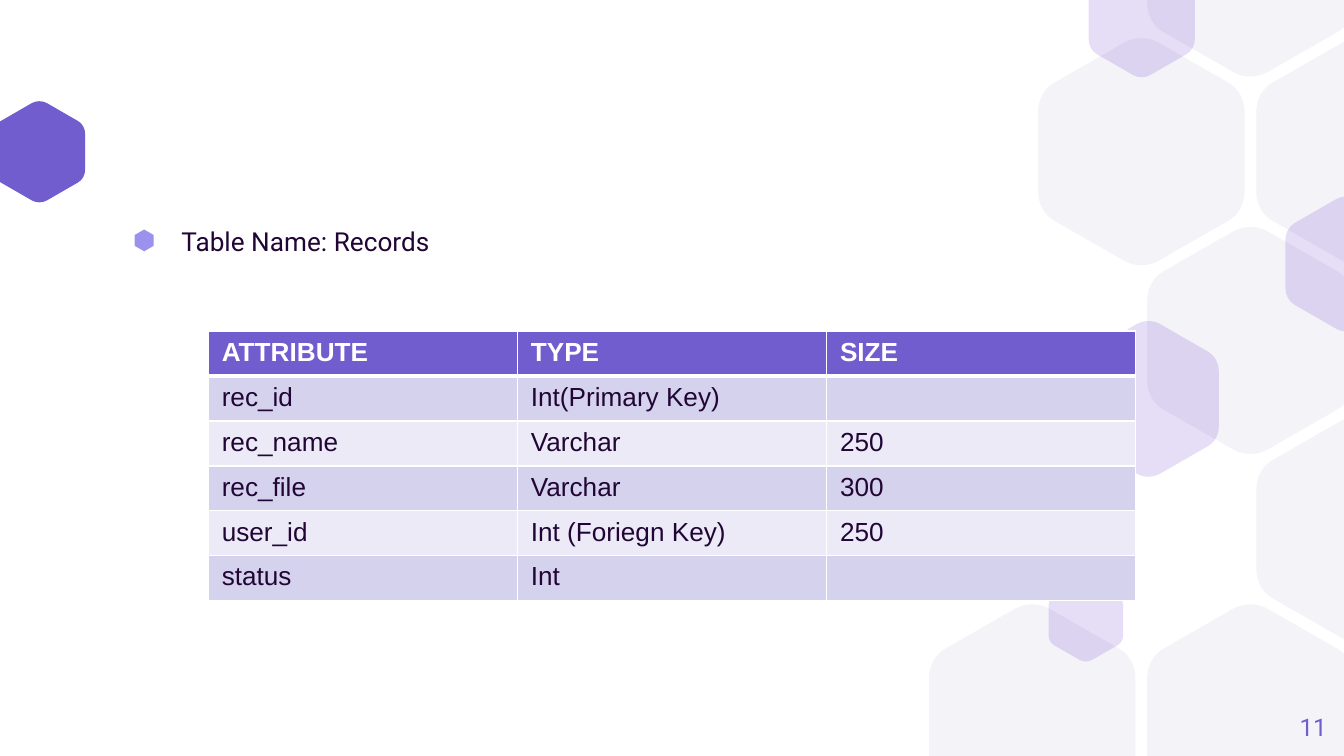
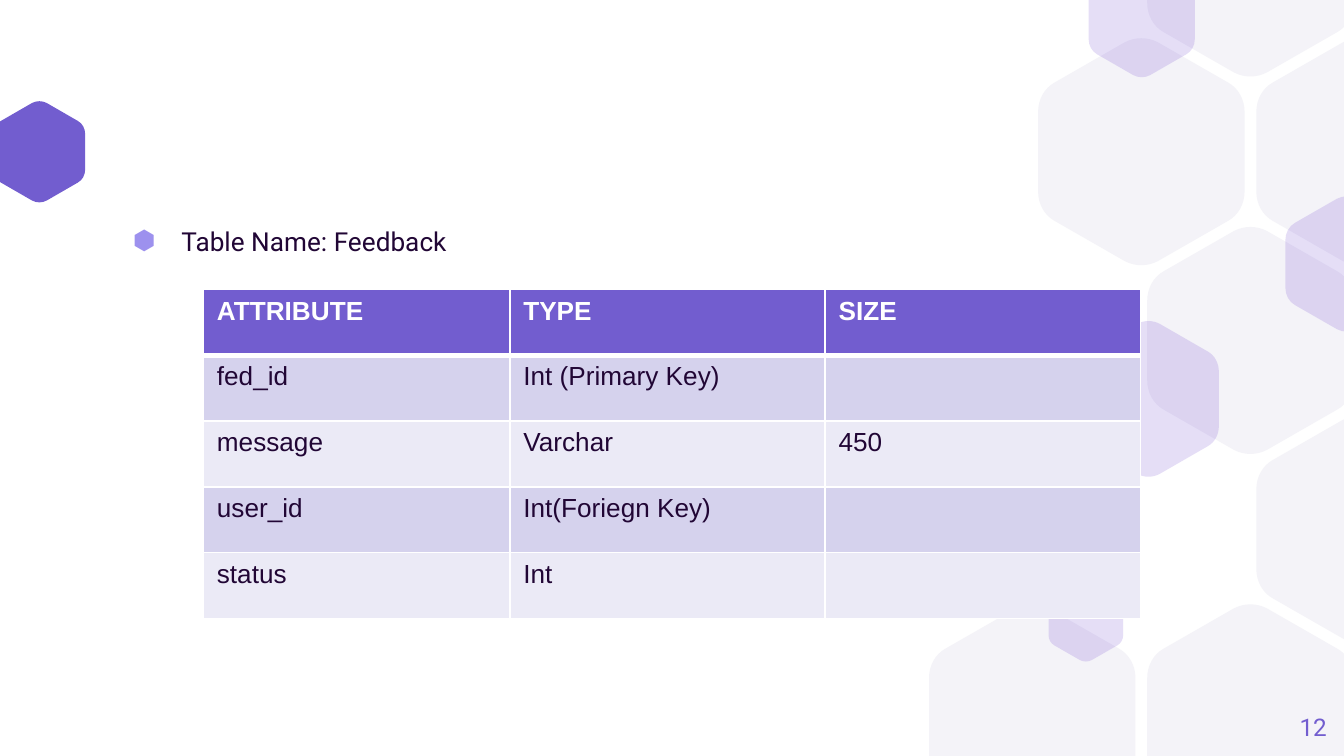
from lxml.etree import SubElement
from pptx import Presentation
from pptx.dml.color import RGBColor
from pptx.enum.text import MSO_ANCHOR, PP_ALIGN
from pptx.oxml.ns import qn
from pptx.util import Pt

SLIDE_W, SLIDE_H = 720, 405
WHITE = RGBColor(0xFF, 0xFF, 0xFF)
INK = RGBColor(0x21, 0x06, 0x35)
PURPLE = RGBColor(0x72, 0x5D, 0xCF)
LILAC = RGBColor(0x9D, 0x91, 0xEE)
VIOLET = RGBColor(0x53, 0x22, 0xC9)
PALE = RGBColor(0xF4, 0xF3, 0xF8)
BANDS = [RGBColor(0xD5, 0xD2, 0xED), RGBColor(0xEB, 0xEA, 0xF6)]

HEADER = ("ATTRIBUTE", "TYPE", "SIZE")
SLIDES = [
    {
        "number": 11,
        "caption": "Table Name: Records",
        "origin": (111.6, 177.4),
        "columns": (165.6, 165.6, 165.6),
        "row_height": 23.9,
        "rows": [
            ("rec_id", "Int(Primary Key)", ""),
            ("rec_name", "Varchar", "250"),
            ("rec_file", "Varchar", "300"),
            ("user_id", "Int (Foriegn Key)", "250"),
            ("status", "Int", ""),
        ],
    },
    {
        "number": 12,
        "caption": "Table Name: Feedback",
        "origin": (109, 155.1),
        "columns": (164.2, 168.9, 168.9),
        "row_height": 35.25,
        "rows": [
            ("fed_id", "Int (Primary Key)", ""),
            ("message", "Varchar", "450"),
            ("user_id", "Int(Foriegn Key)", ""),
            ("status", "Int", ""),
        ],
    },
]

# Honeycomb cells as (column, row) of the lattice
HONEYCOMB = [(0, 4), (2, 4), (3, 1), (2, 0), (2, 2), (1, 1)]
FRONT_CELL = (3, 3)
LATTICE_X, LATTICE_Y = 497.7, -80.6
STEP_X, STEP_Y = 58.45, 101.1
CELL_W, CELL_H = 110.6, 121.6
# Translucent hexagons as left, top, width, height
ACCENTS = [
    (688.6, 105.2, 65.8, 72.5),
    (561.7, 310.4, 40, 44),
    (583.2, -21.6, 56.9, 63),
    (577.6, 172, 75.4, 83.4),
]
MARKER = (-3.4, 54.2, 49, 54.2)

# Rounded corners of a hexagon in a unit square, as Bezier points
TOP_CORNER = [(.42, .018), (.47, -.006), (.53, -.006), (.58, .018)]
SIDE_CORNER = [(.92, .195), (.97, .22), (1, .27), (1, .325)]


def hexagon_corners():
    lower_side = [(x, 1 - y) for x, y in reversed(SIDE_CORNER)]
    half = [TOP_CORNER, SIDE_CORNER, lower_side]
    return half + [[(1 - x, 1 - y) for x, y in corner] for corner in half]


CORNERS = hexagon_corners()


def trace_hexagon(left, top, width, height):
    """Return outline points and the indexes where a curve starts.

    Corners beyond the top or bottom slide edge give way to a straight cut.
    """
    points, curve_starts = [], []
    for corner in CORNERS:
        placed = [(left + x * width, top + y * height) for x, y in corner]
        ys = [y for _, y in placed]
        if max(ys) > 0 and min(ys) < SLIDE_H:
            curve_starts.append(len(points))
            points += placed
        else:
            cut_y = 0 if max(ys) <= 0 else SLIDE_H
            points += [(left + x * width, cut_y) for x in (0, 1)
                       if x in (corner[0][0], corner[-1][0])]
    return points, curve_starts


def bend_corners(freeform, curve_starts):
    """Turn the three lines after each start point into one Bezier curve."""
    lines = list(freeform.element.iter(qn("a:lnTo")))
    for start in curve_starts:
        first, *others = lines[start:start + 3]
        first.tag = qn("a:cubicBezTo")
        for line in others:
            first.append(line[0])
            line.getparent().remove(line)


def add_hexagon(slide, box, color, opacity=100):
    points, curve_starts = trace_hexagon(*box)
    points = [(Pt(x), Pt(y)) for x, y in points]
    builder = slide.shapes.build_freeform(*points[0])
    builder.add_line_segments(points[1:], close=True)
    hexagon = builder.convert_to_shape()
    bend_corners(hexagon, curve_starts)
    hexagon.shadow.inherit = False
    hexagon.fill.solid()
    hexagon.fill.fore_color.rgb = color
    hexagon.line.fill.background()
    if opacity < 100:
        rgb = hexagon.element.spPr.find(".//" + qn("a:srgbClr"))
        SubElement(rgb, qn("a:alpha"), val=str(opacity * 1000))


def add_honeycomb_cell(slide, column, row):
    corner = (LATTICE_X + column * STEP_X, LATTICE_Y + row * STEP_Y)
    add_hexagon(slide, (*corner, CELL_W, CELL_H), PALE)


def add_background(slide):
    slide.background.fill.solid()
    slide.background.fill.fore_color.rgb = WHITE
    add_hexagon(slide, MARKER, PURPLE)
    for position in HONEYCOMB:
        add_honeycomb_cell(slide, *position)
    for accent in ACCENTS:
        add_hexagon(slide, accent, VIOLET, opacity=15)
    add_honeycomb_cell(slide, *FRONT_CELL)


def style_runs(paragraph, font_name, size, color, bold=False):
    for run in paragraph.runs:
        run.font.name = font_name
        run.font.size = Pt(size)
        run.font.color.rgb = color
        run.font.bold = bold


def add_text(slide, box, text, size, color):
    frame = slide.shapes.add_textbox(*map(Pt, box)).text_frame
    frame.word_wrap = True
    frame.margin_left = frame.margin_right = frame.margin_top = frame.margin_bottom = 0
    frame.text = text
    style_runs(frame.paragraphs[0], "Roboto", size, color)
    return frame


def add_caption(slide, text):
    paragraph = add_text(slide, (61.2, 118, 473, 226.8), text, 14, INK).paragraphs[0]
    paragraph.line_spacing = 1.15
    props = paragraph._p.get_or_add_pPr()
    props.set("marL", str(Pt(36)))
    props.set("indent", str(Pt(-26)))
    bullet_color = SubElement(props, qn("a:buClr"))
    SubElement(bullet_color, qn("a:srgbClr"), val=str(LILAC))
    SubElement(props, qn("a:buFont"), typeface="Roboto")
    SubElement(props, qn("a:buChar"), char="⬢")


def add_page_number(slide, number):
    frame = add_text(slide, (667.6, 373.7, 43.2, 31), str(number), 13, PURPLE)
    frame.vertical_anchor = MSO_ANCHOR.MIDDLE
    frame.paragraphs[0].alignment = PP_ALIGN.RIGHT


def set_borders(cell, widths):
    """Put white borders on a cell; they must come before its fill."""
    props = cell._tc.get_or_add_tcPr()
    for side, width in widths.items():
        line = SubElement(props, qn("a:ln" + side), w=str(Pt(width)))
        fill = SubElement(line, qn("a:solidFill"))
        SubElement(fill, qn("a:srgbClr"), val=str(WHITE))


def add_attribute_table(slide, content):
    rows = [HEADER] + content["rows"]
    columns, row_height = content["columns"], content["row_height"]
    size = (sum(columns), row_height * len(rows))
    table = slide.shapes.add_table(
        len(rows), len(columns), *map(Pt, content["origin"] + size)
    ).table
    for column, width in zip(table.columns, columns):
        column.width = Pt(width)
    for r, values in enumerate(rows):
        table.rows[r].height = Pt(row_height)
        is_header = r == 0
        for c, value in enumerate(values):
            cell = table.cell(r, c)
            set_borders(cell, {"L": 1, "R": 1, "T": 3 if r == 1 else 1,
                               "B": 3 if is_header else 1})
            cell.fill.solid()
            cell.fill.fore_color.rgb = PURPLE if is_header else BANDS[(r - 1) % 2]
            paragraph = cell.text_frame.paragraphs[0]
            if value:
                paragraph.text = value
                style_runs(paragraph, "Arial", 14, WHITE if is_header else INK, is_header)
            else:
                SubElement(paragraph._p, qn("a:endParaRPr"), sz="1400")


def main():
    deck = Presentation()
    deck.slide_width, deck.slide_height = Pt(SLIDE_W), Pt(SLIDE_H)
    for content in SLIDES:
        slide = deck.slides.add_slide(deck.slide_layouts[6])
        add_background(slide)
        add_caption(slide, content["caption"])
        add_page_number(slide, content["number"])
        add_attribute_table(slide, content)
    deck.save("out.pptx")


if __name__ == "__main__":
    main()
